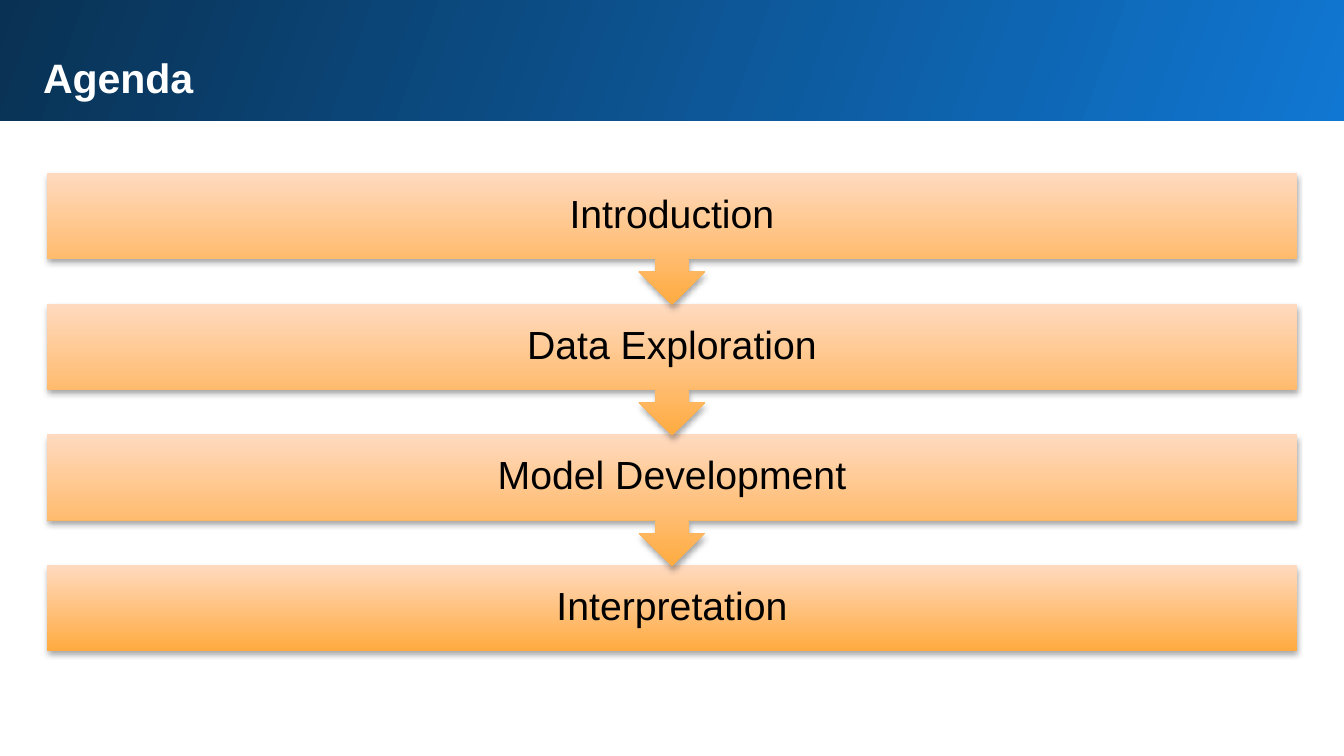
from dataclasses import dataclass

from lxml import etree
from pptx import Presentation
from pptx import util as u
from pptx.dml.color import RGBColor
from pptx.enum import shapes, text
from pptx.oxml.ns import qn

# Content
TITLE = "Agenda"
STEPS = ["Introduction", "Data Exploration", "Model Development", "Interpretation"]


@dataclass(frozen=True)
class Theme:
    font: str = "Arial"
    title_size: int = 22
    step_size: int = 21
    title_color: str = "FFFFFF"
    step_color: str = "000000"
    header: tuple = ("1077D2", "093153")
    step: tuple = ("FFAB40", "FFDAC0")
    shadow: str = "000000"


THEME = Theme()

# Layout in px, 134.4 px to the inch
SCALE = u.Inches(1) / 134.4
SLIDE = (1344, 756)
HEADER = (-3, -3, 1351, 124)
TITLE_BOX = (30, 39, 1259, 77)
STEP_LEFT, STEP_WIDTH = 47, 1250
FIRST_TOP, LAST_TOP = 173, 565
BAR_HEIGHT, CALLOUT_HEIGHT = 86, 132
TITLE_INSET, STEP_INSET = 13, 22


def px(n):
    return u.Emu(round(n * SCALE))


def add_gradient_shape(slide, kind, box, colors, angle):
    shape = slide.shapes.add_shape(kind, *map(px, box))
    shape.shadow.inherit = False
    shape.line.fill.background()
    shape.fill.gradient()
    shape.fill.gradient_angle = angle
    for stop, color in zip(shape.fill.gradient_stops, colors):
        stop.color.rgb = RGBColor.from_string(color)
    return shape


def add_shadow(shape):
    effects = shape.element.spPr.find(qn("a:effectLst"))
    outer = etree.SubElement(effects, qn("a:outerShdw"), blurRad=str(u.Pt(3)),
                             dist=str(u.Pt(1.8)), dir="5400000", rotWithShape="0")
    color = etree.SubElement(outer, qn("a:srgbClr"), val=THEME.shadow)
    etree.SubElement(color, qn("a:alpha"), val="35000")


def write(shape, words, size, color, align, anchor, inset, bold=False):
    frame = shape.text_frame
    frame.text = words
    frame.word_wrap = True
    frame.vertical_anchor = anchor
    frame.margin_left = frame.margin_right = px(inset)
    frame.margin_top = frame.margin_bottom = px(inset)
    paragraph = frame.paragraphs[0]
    paragraph.alignment = align
    font = paragraph.font
    font.name, font.size, font.bold = THEME.font, u.Pt(size), bold
    font.color.rgb = RGBColor.from_string(color)
    return paragraph


def main():
    prs = Presentation()
    prs.slide_width, prs.slide_height = map(px, SLIDE)
    slide = prs.slides.add_slide(prs.slide_layouts[5])

    # Header band, placed behind the title
    title = slide.shapes.title
    header = add_gradient_shape(slide, shapes.MSO_SHAPE.RECTANGLE, HEADER, THEME.header, 160)
    title.element.addprevious(header.element)
    title.left, title.top, title.width, title.height = map(px, TITLE_BOX)
    write(title, TITLE, THEME.title_size, THEME.title_color, text.PP_ALIGN.LEFT,
          text.MSO_ANCHOR.TOP, TITLE_INSET, bold=True)
    title.text_frame.auto_size = text.MSO_AUTO_SIZE.SHAPE_TO_FIT_TEXT

    # Steps, last one first so that each arrow lies over the next bar
    last = len(STEPS) - 1
    pitch = (LAST_TOP - FIRST_TOP) / last
    for i, step in reversed(list(enumerate(STEPS))):
        if i == last:
            kind, height = shapes.MSO_SHAPE.RECTANGLE, BAR_HEIGHT
        else:
            kind, height = shapes.MSO_SHAPE.DOWN_ARROW_CALLOUT, CALLOUT_HEIGHT
        box = (STEP_LEFT, FIRST_TOP + i * pitch, STEP_WIDTH, height)
        bar = add_gradient_shape(slide, kind, box, THEME.step, 90)
        add_shadow(bar)
        paragraph = write(bar, step, THEME.step_size, THEME.step_color,
                          text.PP_ALIGN.CENTER, text.MSO_ANCHOR.MIDDLE, STEP_INSET)
        paragraph.line_spacing = 0.9

    prs.save("out.pptx")


if __name__ == "__main__":
    main()
